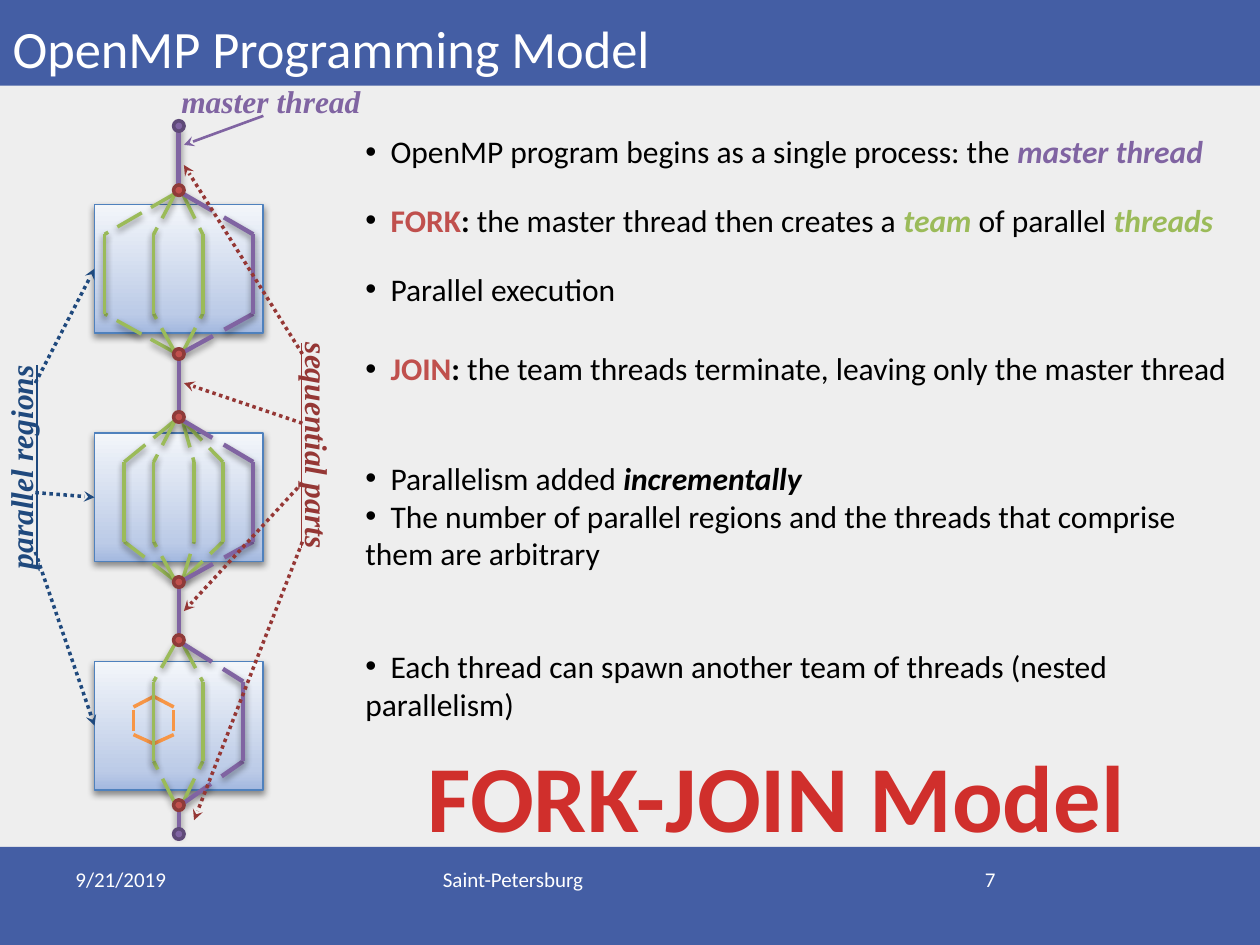
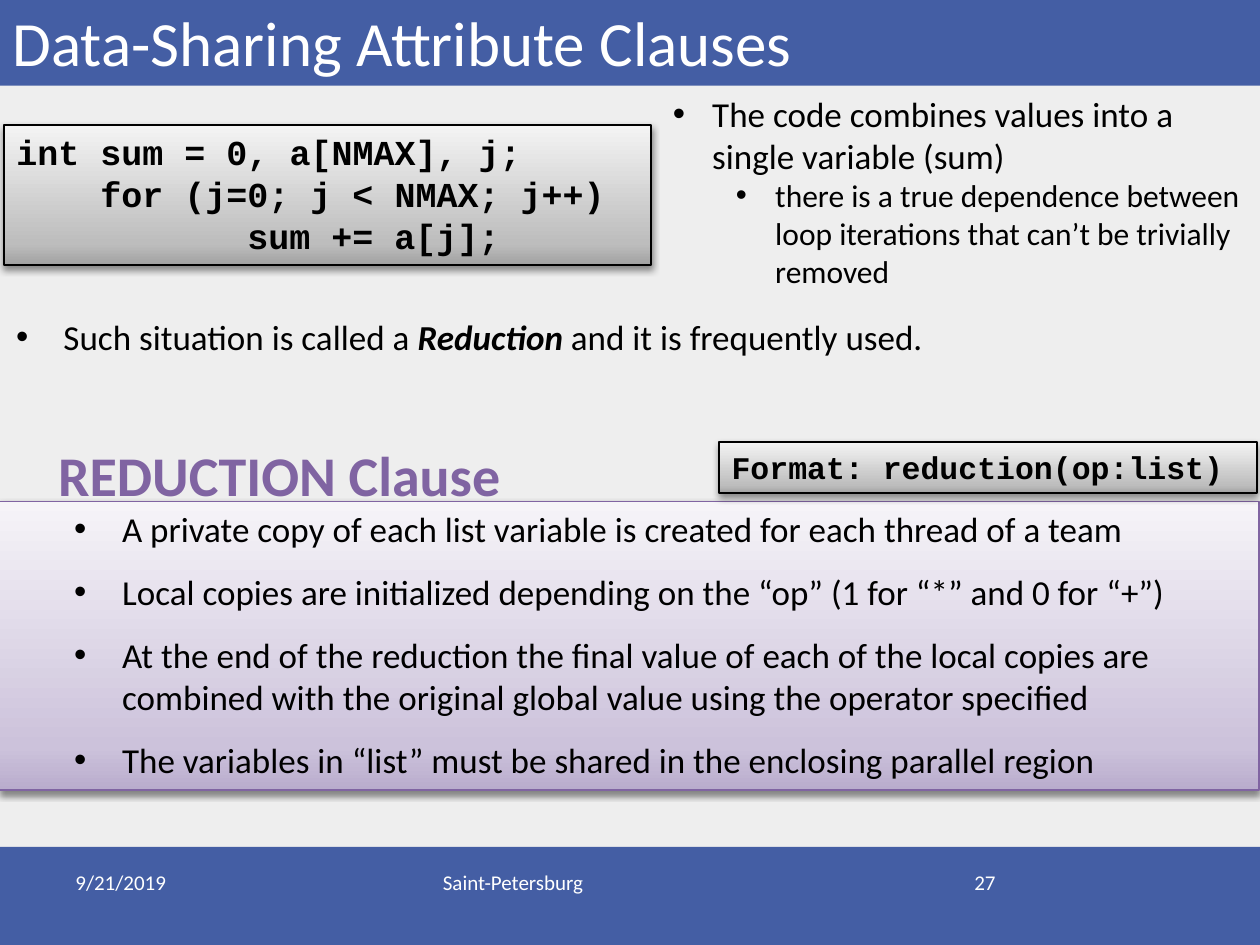
import dataclasses

import lxml.etree
import pptx
import pptx.dml.color
import pptx.enum.dml
import pptx.enum.shapes
import pptx.enum.text
import pptx.oxml.ns
import pptx.util


@dataclasses.dataclass(frozen=True)
class Theme:
    background: str = "EEEEEE"
    band: str = "445EA4"
    white: str = "FFFFFF"
    black: str = "000000"
    master: str = "8064A2"
    master_edge: str = "5F4A78"
    team: str = "9BBB59"
    node: str = "C0504D"
    node_edge: str = "8E3B39"
    nested: str = "F79646"
    region_edge: str = "4F81BD"
    region_label: str = "1F497D"
    sequential: str = "953735"
    blue_fade: tuple = ((0, "A3B8DF"), (15, "BCCBE7"), (100, "F3F6FA"))
    purple_fade: tuple = ((0, "B9ACCD"), (15, "CCC2DB"), (100, "F6F4F8"))
    gray_fade: tuple = ((0, "A2A2A2"), (15, "BDBDBD"), (100, "F4F4F4"))
    red_fade: tuple = ((0, "FC7C7A"), (75, "D02F2C"), (100, "C70500"))
    sans: str = "Calibri"
    serif: str = "Times New Roman"
    mono: str = "Courier New"
    footer_size: int = 12
    text_size: int = 18
    large_size: int = 20
    clause_size: int = 32
    model_size: int = 54


@dataclasses.dataclass
class Line:
    """One paragraph; runs are strings or (text, font settings) pairs."""
    runs: list
    margin: float = 0
    indent: float = 0
    before: float = 0
    bullet: bool = True
    level: int = 0
    tab: float = 0
    size: int = 0


THEME = Theme()
DASH = pptx.enum.dml.MSO_LINE.LONG_DASH
DOTS = pptx.enum.dml.MSO_LINE.ROUND_DOT
LEFT, CENTER, RIGHT = (getattr(pptx.enum.text.PP_ALIGN, name) for name in ("LEFT", "CENTER", "RIGHT"))
RECTANGLE = pptx.enum.shapes.MSO_SHAPE.RECTANGLE
OVAL = pptx.enum.shapes.MSO_SHAPE.OVAL

# Content: text
KEYWORD = dict(color=THEME.node, bold=True)
TEAM = dict(color=THEME.team, bold=True, italic=True)
MASTER = dict(color=THEME.master, bold=True, italic=True)
STRONG = dict(bold=True, italic=True)
COLON = (":", dict(bold=True))

MODEL_POINTS = [
    (0, ["OpenMP program begins as a single process: the ", ("master thread", MASTER)]),
    (17.6, [("FORK", KEYWORD), COLON, " the master thread then creates a ", ("team", TEAM),
            " of parallel ", ("threads", TEAM)]),
    (17.6, ["Parallel execution"]),
    (24, [("JOIN", KEYWORD), COLON, " the team threads terminate, leaving only the master thread"]),
    (41, ["Parallelism added ", ("incrementally", STRONG)]),
    (0, ["The number of parallel regions and the threads that comprise them are arbitrary"]),
    (42.6, ["Each thread can spawn another team of threads (nested parallelism)"]),
]
DEPENDENCE = [
    Line(["The code combines values into a single variable (sum)"], 22.5, -22.5),
    Line(["there is a true dependence between loop iterations that can’t be trivially removed"],
         58.5, -22.5, level=1, size=THEME.text_size),
]
SITUATION = [Line(["Such situation is called a ", ("Reduction", STRONG),
                   " and it is frequently used."], 27, -27)]
CODE = [(0, "int sum = 0, a[NMAX], j;"), (4, "for (j=0; j < NMAX; j++)"), (11, "sum += a[j];")]
CLAUSE_RULES = [
    "A private copy of each list variable is created for each thread of a team",
    "Local copies are initialized depending on the “op” (1 for “*” and 0 for “+”)",
    "At the end of the reduction the final value of each of the local copies are combined "
    "with the original global value using the operator specified",
    "The variables in “list” must be shared in the enclosing parallel region",
]

# Content: fork-join diagram; the last lane of a region belongs to the master thread
AXIS, START, END = 102.2, 72, 476.6
REGIONS = [
    dict(box=116.8, fork=108.7, top=133.9, bottom=179.3, join=202.3, lanes=(59.8, 87.8, 115.9, 144.7)),
    dict(box=247.5, fork=238.3, top=264, bottom=309.5, join=332.6, lanes=(71, 87.8, 110.9, 127.4, 144.7)),
    dict(box=378, fork=365.8, top=389.5, bottom=435, join=460.1, lanes=(87.8, 115.9, 139)),
]
REGION_ARROW_STARTS = [218.9, 281.5, 315.4]
SEQUENTIAL_ARROWS = [(202.3, (105.1, 94.3)), (241.9, (105.1, 218.9)),
                     (275.8, (105.1, 349.2)), (309.6, (110.9, 468.7))]


def points(*values):
    return [pptx.util.Pt(value) for value in values]


def rgb(color):
    return pptx.dml.color.RGBColor.from_string(color)


def add_xml(parent, tag, **attributes):
    values = {name: str(value) for name, value in attributes.items()}
    return lxml.etree.SubElement(parent, pptx.oxml.ns.qn(tag), values)


def set_gradient(fill, shape, stops, angle=90):
    fill.gradient()
    fill.gradient_angle = angle
    stop_list = shape.element.find(".//" + pptx.oxml.ns.qn("a:gsLst"))
    for stop in list(stop_list):
        stop_list.remove(stop)
    for position, color in stops:
        add_xml(add_xml(stop_list, "a:gs", pos=position * 1000), "a:srgbClr", val=color)


def set_shadow(shape, visible):
    """Write the effect list; call it once the outline has been set."""
    effects = add_xml(shape.element.spPr, "a:effectLst")
    if visible:
        shadow = add_xml(effects, "a:outerShdw", blurRad=pptx.util.Pt(4), dist=pptx.util.Pt(2),
                         dir=90 * 60000, rotWithShape=0)
        add_xml(add_xml(shadow, "a:srgbClr", val=THEME.black), "a:alpha", val=43000)


def add_shape(slide, kind, frame, fill, edge=None, width=1, shadow=False):
    shape = slide.shapes.add_shape(kind, *points(*frame))
    if isinstance(fill, tuple):
        set_gradient(shape.fill, shape, fill)
    else:
        shape.fill.solid()
        shape.fill.fore_color.rgb = rgb(fill)
    if edge:
        shape.line.color.rgb = rgb(edge)
        shape.line.width = pptx.util.Pt(width)
    else:
        shape.line.fill.background()
    set_shadow(shape, shadow)
    return shape


def add_line(slide, begin, end, color, width=2, dash=None, shadow=True, arrow=False):
    line = slide.shapes.add_connector(pptx.enum.shapes.MSO_CONNECTOR.STRAIGHT, *points(*begin, *end))
    line.line.color.rgb = rgb(color)
    line.line.width = pptx.util.Pt(width)
    if dash:
        line.line.dash_style = dash
    if arrow:
        add_xml(line.element.spPr.find(pptx.oxml.ns.qn("a:ln")), "a:tailEnd", type="stealth")
    set_shadow(line, shadow)
    return line


def format_run(run, size, color=THEME.black, name=THEME.sans, bold=False, italic=False, underline=False):
    font = run.font
    font.size, font.name = pptx.util.Pt(size), name
    font.color.rgb = rgb(color)
    font.bold, font.italic, font.underline = bold, italic, underline


def write_lines(shape, lines, size, wrap=True, align=LEFT, **font):
    frame = shape.text_frame
    frame.auto_size = pptx.enum.text.MSO_AUTO_SIZE.NONE
    frame.vertical_anchor = pptx.enum.text.MSO_ANCHOR.TOP
    frame.word_wrap = wrap
    for index, line in enumerate(lines):
        paragraph = frame.add_paragraph() if index else frame.paragraphs[0]
        paragraph.alignment, paragraph.level = align, line.level
        paragraph.space_before = pptx.util.Pt(line.before)
        properties = paragraph._p.get_or_add_pPr()
        properties.set("marL", str(pptx.util.Pt(line.margin)))
        properties.set("indent", str(pptx.util.Pt(line.indent)))
        if line.bullet:
            add_xml(properties, "a:buFont", typeface="Arial")
            add_xml(properties, "a:buChar", char="•")
        if line.tab:
            add_xml(add_xml(properties, "a:tabLst"), "a:tab", pos=pptx.util.Pt(line.tab), algn="l")
        for item in line.runs:
            text, settings = (item, {}) if isinstance(item, str) else item
            run = paragraph.add_run()
            run.text = text
            format_run(run, line.size or size, **{**font, **settings})


def add_text(slide, frame, text, size, **options):
    box = slide.shapes.add_textbox(*points(*frame))
    write_lines(box, [Line([text], bullet=False)], size, **options)
    return box


def place(shape, frame):
    shape.left, shape.top, shape.width, shape.height = points(*frame)


def set_master(presentation, slide):
    """Give the master its background and bands, drawn first on a slide."""
    master = presentation.slide_master
    master.background.fill.solid()
    master.background.fill.fore_color.rgb = rgb(THEME.background)
    for frame in ((0, 0, 720, 49), (0, 484, 720, 56)):
        band = add_shape(slide, RECTANGLE, frame, THEME.band)
        master.shapes.element.insert(2, band.element)


def start_slide(presentation, title, title_size, number, footer_top):
    slide = presentation.slides.add_slide(presentation.slide_layouts[1])
    heading = slide.shapes.title
    place(heading, (0, -15, 720, 64))
    write_lines(heading, [Line([title], bullet=False)], title_size, color=THEME.white)
    heading.text_frame.vertical_anchor = pptx.enum.text.MSO_ANCHOR.BOTTOM
    for left, width, text, align in ((36, 168, "9/21/2019", LEFT), (246, 228, "Saint-Petersburg", LEFT),
                                     (516, 60, number, RIGHT)):
        add_text(slide, (left, footer_top, width, 37.5), text, THEME.footer_size,
                 align=align, color=THEME.white)
    return slide


def add_node(slide, y, fill=THEME.node, edge=THEME.node_edge):
    add_shape(slide, OVAL, (AXIS - 3, y - 3, 6, 6), fill, edge, 2)


def draw_nested_team(slide, x):
    for side in (x - 11.5, x + 11.5):
        for tip, shoulder in ((398, 404), (425, 419.8)):
            add_line(slide, (x, tip), (side, shoulder), THEME.nested, dash=DASH, shadow=False)
        add_line(slide, (side, 406), (side, 417.6), THEME.nested, 1.5, shadow=False)


def draw_team(slide, region):
    for lane in region["lanes"]:
        color, width = (THEME.master, 2.5) if lane == region["lanes"][-1] else (THEME.team, 2)
        root = AXIS + (2 if lane > AXIS else -2)
        add_line(slide, (root, region["fork"] + 1.8), (lane, region["top"]), color, width, DASH)
        add_line(slide, (root, region["join"] - 0.7), (lane, region["bottom"]), color, width, DASH)
        add_line(slide, (lane, region["top"]), (lane, region["bottom"]), color, width)


def draw_diagram(slide):
    boxes = [add_shape(slide, RECTANGLE, (54, region["box"], 96.5, 73.4), THEME.blue_fade,
                       THEME.region_edge, shadow=True) for region in REGIONS]
    draw_nested_team(slide, REGIONS[-1]["lanes"][0])
    for region in REGIONS:
        draw_team(slide, region)
    trunk_starts = [START] + [region["join"] for region in REGIONS]
    trunk_ends = [region["fork"] for region in REGIONS] + [END]
    for top, bottom in zip(trunk_starts, trunk_ends):
        add_line(slide, (AXIS, top), (AXIS, bottom), THEME.master, 3 if top == START else 2.5)
    for y in trunk_starts[1:] + trunk_ends[:-1]:
        add_node(slide, y)
    for y in (START, END):
        add_node(slide, y, THEME.master, THEME.master_edge)

    label = dict(size=THEME.text_size, name=THEME.serif, bold=True, italic=True)
    add_text(slide, (96.5, 43.2, 144.7, 29), "master thread", color=THEME.master, **label)
    add_line(slide, (150.5, 66.2), (105.1, 82.8), THEME.master, 1.5, shadow=False, arrow=True)
    for frame, text, color, rotation in (
            ((112.3, 243.4, 138.2, 29), "sequential parts", THEME.sequential, 90),
            ((-55.4, 250.6, 134.6, 29), "parallel regions", THEME.region_label, 270)):
        add_text(slide, frame, text, wrap=False, color=color, underline=True, **label).rotation = rotation
    for y, target in SEQUENTIAL_ARROWS:
        add_line(slide, (172.8, y), target, THEME.sequential, dash=DOTS, shadow=False, arrow=True)
    for y, box in zip(REGION_ARROW_STARTS, boxes):
        arrow = add_line(slide, (20.2, y), (54, y), THEME.region_label, dash=DOTS, shadow=False, arrow=True)
        arrow.end_connect(box, 1)


def build_model_slide(presentation):
    slide = start_slide(presentation, "OpenMP Programming Model", 30, "7", 491.8)
    set_master(presentation, slide)
    body = slide.placeholders[1]
    place(body, (201.6, 72, 518.4, 367))
    write_lines(body, [Line(["\t", *runs], before=gap, tab=14.4) for gap, runs in MODEL_POINTS],
                THEME.text_size)
    draw_diagram(slide)
    model = add_text(slide, (221, 418.3, 445, 72.7), "FORK-JOIN Model", THEME.model_size,
                     wrap=False, align=CENTER, bold=True)
    set_gradient(model.text_frame.paragraphs[0].runs[0].font.fill, model, THEME.red_fade, 270)


def build_clauses_slide(presentation):
    slide = start_slide(presentation, "Data-Sharing Attribute Clauses", 36, "27", 493.2)
    body = slide.placeholders[1]
    place(body, (377.3, 49, 342, 121))
    write_lines(body, DEPENDENCE, THEME.large_size)

    rules = add_shape(slide, RECTANGLE, (-0.7, 286.6, 720, 165), THEME.purple_fade, THEME.master, shadow=True)
    write_lines(rules, [Line([text], 63.4, -27.4, before=12, level=1) for text in CLAUSE_RULES],
                THEME.large_size)
    add_text(slide, (-0.7, 248.4, 321, 46), "REDUCTION Clause", THEME.clause_size, wrap=False,
             align=CENTER, color=THEME.master, bold=True)

    character = 0.6 * THEME.large_size
    code_lines = [Line([text], margin=columns * character, bullet=False) for columns, text in CODE]
    format_lines = [Line(["Format: reduction(op:list)"], bullet=False)]
    for frame, lines, size in (((411, 252.7, 307.4, 29), format_lines, THEME.text_size),
                               ((2.2, 71.3, 370, 80), code_lines, THEME.large_size)):
        box = add_shape(slide, RECTANGLE, frame, THEME.gray_fade, THEME.black, shadow=True)
        write_lines(box, lines, size, wrap=False, name=THEME.mono, bold=True)

    situation = slide.shapes.add_textbox(*points(2.2, 177, 592.6, 31.7))
    write_lines(situation, SITUATION, THEME.large_size, wrap=False)


def main():
    presentation = pptx.Presentation()
    presentation.slide_width, presentation.slide_height = points(720, 540)
    build_model_slide(presentation)
    build_clauses_slide(presentation)
    presentation.save("out.pptx")


if __name__ == "__main__":
    main()
